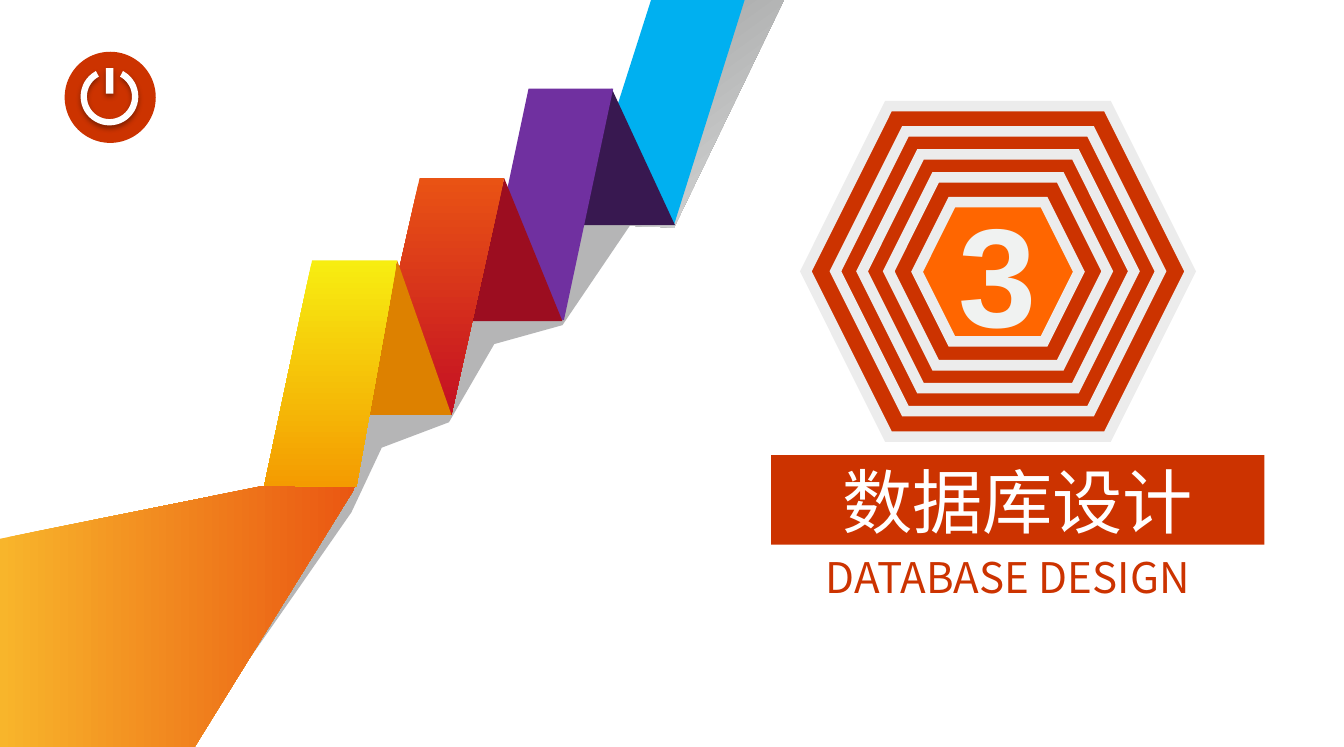
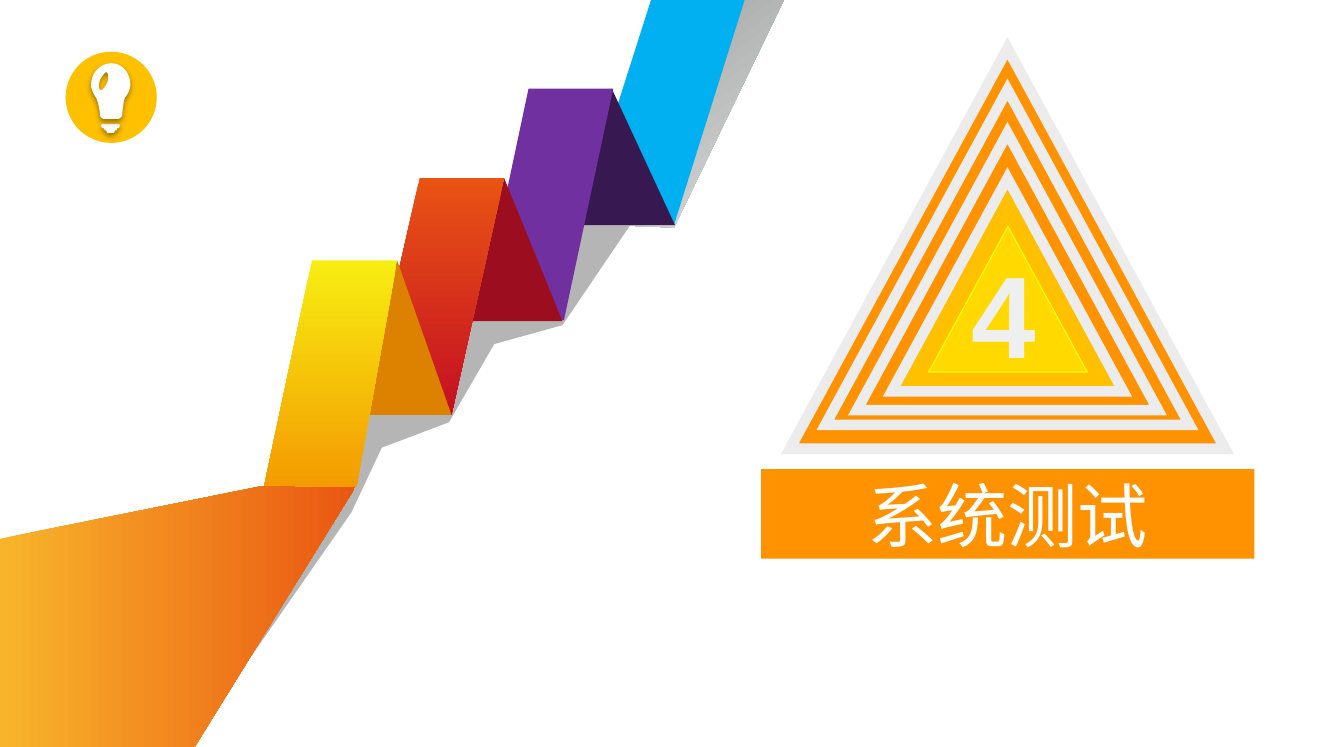
"""Build two section slides that share a folded ribbon, ring emblems and title bands."""
import lxml.etree
import pptx
import pptx.dml.color
import pptx.enum.shapes
import pptx.enum.text
import pptx.oxml.ns
import pptx.util

Cm = pptx.util.Cm
Pt = pptx.util.Pt
qn = pptx.oxml.ns.qn
Preset = pptx.enum.shapes.MSO_SHAPE

TITLE_FONT, NUMBER_FONT = "Noto Sans CJK SC", "Arial"
WHITE, RING_GREY = "FFFFFF", "ECECEC"
RED, ORANGE, AMBER, YELLOW = "CC3300", "FF9201", "FFC000", "FFFF00"
BAND_SIZE = (9.91, 1.8)
DISC_TOP, DISC_SIZE = 1.04, 1.83
CURVE_STEPS = 8

RIBBON = [
    (("9FA0A0", "DBDCDC", 54), [(12.27, 4.52), (13.56, 0), (15.75, 0), (13.54, 4.57)]),
    ("B5B5B6", [(11.3, 6.53), (12.73, 4.42), (13.61, 3.91), (13.13, 3.05), (11.73, 3.81),
                (11.05, 4.98), (9.75, 5.61), (8.94, 6.93), (7.8, 7.44), (5.72, 10.62),
                (2.39, 12.29), (0, 14.88), (3.78, 15), (7.06, 10.29), (7.67, 8.99),
                (9.02, 8.48), (9.93, 6.91)]),
    ("00B0F0", [(11.79, 4.04), (13.08, 0), (14.96, 0), (13.54, 4.52)]),
    ("381850", [(12.29, 1.78), (13.56, 4.52), (11.66, 4.52)]),
    ("7030A0", [(9.73, 5.97), (10.62, 1.78), (12.32, 1.78), (11.33, 6.43)]),
    ("9C0D20", [(10.13, 3.58), (11.3, 6.45), (9.42, 6.45)]),
    (("E95314", "C41023", 90), [(7.47, 7.85), (8.43, 3.58), (10.13, 3.58), (9.07, 8.33)]),
    ("DD8100", [(7.98, 5.23), (9.07, 8.33), (7.16, 8.33)]),
    (("F8B52B", "EA5712", 0), [(0, 15), (0, 10.82), (5.33, 9.75), (7.14, 9.78), (3.91, 15)]),
    (("F7ED11", "F49B01", 90), [(5.31, 9.75), (6.27, 5.23), (7.98, 5.23), (7.16, 9.78)]),
]

HEXAGONS = {
    "preset": Preset.HEXAGON, "center": 20.05, "aspect": 0.86,
    "rings": [(7.72, 2.13, RED), (6.53, 2.64, RED), (5.46, 3.1, RED),
              (4.39, 3.56, RED), (3.25, 4.06, "FF6600")],
}
TRIANGLES = {
    "preset": Preset.FLOWCHART_EXTRACT, "center": 20.24, "aspect": 0.92,
    "rings": [(8.74, 0.97, ORANGE), (7.32, 1.8, ORANGE), (6.05, 2.67, ORANGE),
              (4.65, 3.58, AMBER)],
}

BULB_BASE = [(2.05, 2.49), (2.39, 2.49), (2.41, 2.52), (2.39, 2.57), (2.36, 2.57),
             (2.34, 2.62), (2.31, 2.62), (2.29, 2.67), (2.16, 2.67), (2.13, 2.62),
             (2.11, 2.62), (2.08, 2.57), (2.05, 2.57), (2.03, 2.52)]
BULB_GLASS = [
    (2.24, 1.27),
    [(2.46, 1.27), (2.62, 1.47), (2.62, 1.7)],
    [(2.62, 1.85), (2.51, 1.96), (2.51, 1.96)],
    [(2.49, 2.01), (2.46, 2.21), (2.46, 2.29)],
    [(2.46, 2.34), (2.41, 2.39), (2.36, 2.39)],
    [(2.36, 2.39), (2.11, 2.39), (2.11, 2.39)],
    [(2.03, 2.39), (2.01, 2.34), (2.01, 2.29)],
    [(2.01, 2.21), (1.96, 2.01), (1.93, 1.96)],
    [(1.93, 1.96), (1.83, 1.83), (1.83, 1.7)],
    [(1.83, 1.47), (2.01, 1.27), (2.24, 1.27)],
]
BULB_GLINT = [
    (2.13, 1.45),
    [(2.11, 1.45), (2.06, 1.52), (2.01, 1.6)],
    [(1.98, 1.7), (1.98, 1.8), (2.01, 1.8)],
    [(2.06, 1.83), (2.11, 1.75), (2.16, 1.65)],
    [(2.18, 1.55), (2.18, 1.45), (2.13, 1.45)],
]


def color(value):
    return pptx.dml.color.RGBColor.from_string(value)


def paint(shape, fill):
    shape.shadow.inherit = False
    shape.line.fill.background()
    if isinstance(fill, str):
        shape.fill.solid()
        shape.fill.fore_color.rgb = color(fill)
        return shape
    *stop_colors, angle = fill
    shape.fill.gradient()
    shape.fill.gradient_angle = (360 - angle) % 360
    for stop, value in zip(shape.fill.gradient_stops, stop_colors):
        stop.color.rgb = color(value)
    return shape


def outline(shape, value, width):
    shape.line.color.rgb = color(value)
    shape.line.width = Pt(width)
    line = shape._element.spPr.find(qn("a:ln"))
    lxml.etree.SubElement(line, qn("a:miter"), lim="800000")


def drop_shadow(shape):
    effects = shape._element.spPr.find(qn("a:effectLst"))
    shadow = lxml.etree.SubElement(
        effects, qn("a:outerShdw"), blurRad=str(Pt(3.1)), dist=str(Pt(1.6)),
        dir="5400000", algn="t", rotWithShape="0")
    black = lxml.etree.SubElement(shadow, qn("a:srgbClr"), val="000000")
    lxml.etree.SubElement(black, qn("a:alpha"), val="38000")


def add_preset(slide, preset, left, top, width, height, fill):
    shape = slide.shapes.add_shape(preset, Cm(left), Cm(top), Cm(width), Cm(height))
    return paint(shape, fill)


def add_polygon(slide, contours, fill):
    builder = None
    for contour in contours:
        (start_x, start_y), *others = [(Cm(x), Cm(y)) for x, y in contour]
        if builder is None:
            builder = slide.shapes.build_freeform(start_x, start_y)
        else:
            builder.move_to(start_x, start_y)
        builder.add_line_segments(others, close=True)
    return paint(builder.convert_to_shape(), fill)


def trace(curve):
    points = [curve[0]]
    for segment in curve[1:]:
        corners = [points[-1], *segment]
        for step in range(1, CURVE_STEPS + 1):
            t = step / CURVE_STEPS
            weights = ((1 - t) ** 3, 3 * t * (1 - t) ** 2, 3 * t * t * (1 - t), t ** 3)
            points.append(tuple(sum(w * corner[axis] for w, corner in zip(weights, corners))
                                for axis in (0, 1)))
    return points


def write(shape, text, size, font, value, bold=False):
    frame = shape.text_frame
    frame.word_wrap = True
    paragraph = frame.paragraphs[0]
    paragraph.alignment = pptx.enum.text.PP_ALIGN.CENTER
    run = paragraph.add_run()
    run.text = text
    run.font.size = Pt(size)
    run.font.bold = bold
    run.font.color.rgb = color(value)
    run.font.name = font
    lxml.etree.SubElement(run._r.rPr, qn("a:ea"), typeface=font)
    return frame


def add_text(slide, box, *content):
    return write(slide.shapes.add_textbox(*map(Cm, box)), *content)


def add_ribbon(slide):
    for fill, points in RIBBON:
        add_polygon(slide, [points], fill)


def add_emblem(slide, emblem):
    for width, top, fill in emblem["rings"]:
        left = emblem["center"] - width / 2
        ring = add_preset(slide, emblem["preset"], left, top, width,
                          width * emblem["aspect"], fill)
        outline(ring, RING_GREY, 6)
    return ring


def add_band(slide, left, top, title, fill):
    band = add_preset(slide, Preset.RECTANGLE, left, top, *BAND_SIZE, fill)
    frame = write(band, title, 40, TITLE_FONT, WHITE)
    frame.vertical_anchor = pptx.enum.text.MSO_ANCHOR.MIDDLE


def add_disc(slide, left, fill):
    add_preset(slide, Preset.OVAL, left, DISC_TOP, DISC_SIZE, DISC_SIZE, fill)


def add_power_icon(slide):
    add_disc(slide, 1.3, RED)
    bar = add_preset(slide, Preset.RECTANGLE, 2.13, 1.37, 0.15, 0.51, WHITE)
    ring = add_preset(slide, Preset.BLOCK_ARC, 1.62, 1.36, 1.16, 1.16, WHITE)
    for index, degrees in enumerate((298, 242)):
        ring.adjustments[index] = degrees * 0.6
    ring.adjustments[2] = 0.11
    for part in (bar, ring):
        drop_shadow(part)


def add_bulb_icon(slide):
    add_disc(slide, 1.32, AMBER)
    for contours in ([BULB_BASE], [trace(BULB_GLASS), trace(BULB_GLINT)]):
        drop_shadow(add_polygon(slide, contours, WHITE))


def build_database_slide(slide):
    core = add_emblem(slide, HEXAGONS)
    frame = write(core, "3", 80, NUMBER_FONT, "F0F2F1", True)
    frame.vertical_anchor = pptx.enum.text.MSO_ANCHOR.MIDDLE
    add_band(slide, 15.49, 9.14, "数据库设计", RED)
    add_text(slide, (15.29, 10.95, 9.91, 1.27), "DATABASE DESIGN", 24, TITLE_FONT, RED)
    add_power_icon(slide)


def build_testing_slide(slide):
    add_bulb_icon(slide)
    add_emblem(slide, TRIANGLES)
    core = add_preset(slide, Preset.FLOWCHART_EXTRACT, 18.66, 4.55, 3.18, 2.92, YELLOW)
    tint = core._element.spPr.find(qn("a:solidFill")).find(qn("a:srgbClr"))
    lxml.etree.SubElement(tint, qn("a:alpha"), val="40000")
    outline(core, YELLOW, 0.75)
    frame = add_text(slide, (19.25, 4.75, 1.83, 2.84), "4", 66, NUMBER_FONT, "EEF0EF", True)
    frame.word_wrap = False
    add_band(slide, 15.29, 9.42, "系统测试", ORANGE)


def main():
    presentation = pptx.Presentation()
    presentation.slide_width, presentation.slide_height = Cm(27), Cm(15)
    for build in (build_database_slide, build_testing_slide):
        slide = presentation.slides.add_slide(presentation.slide_layouts[6])
        build(slide)
        add_ribbon(slide)
    presentation.save("out.pptx")


if __name__ == "__main__":
    main()
